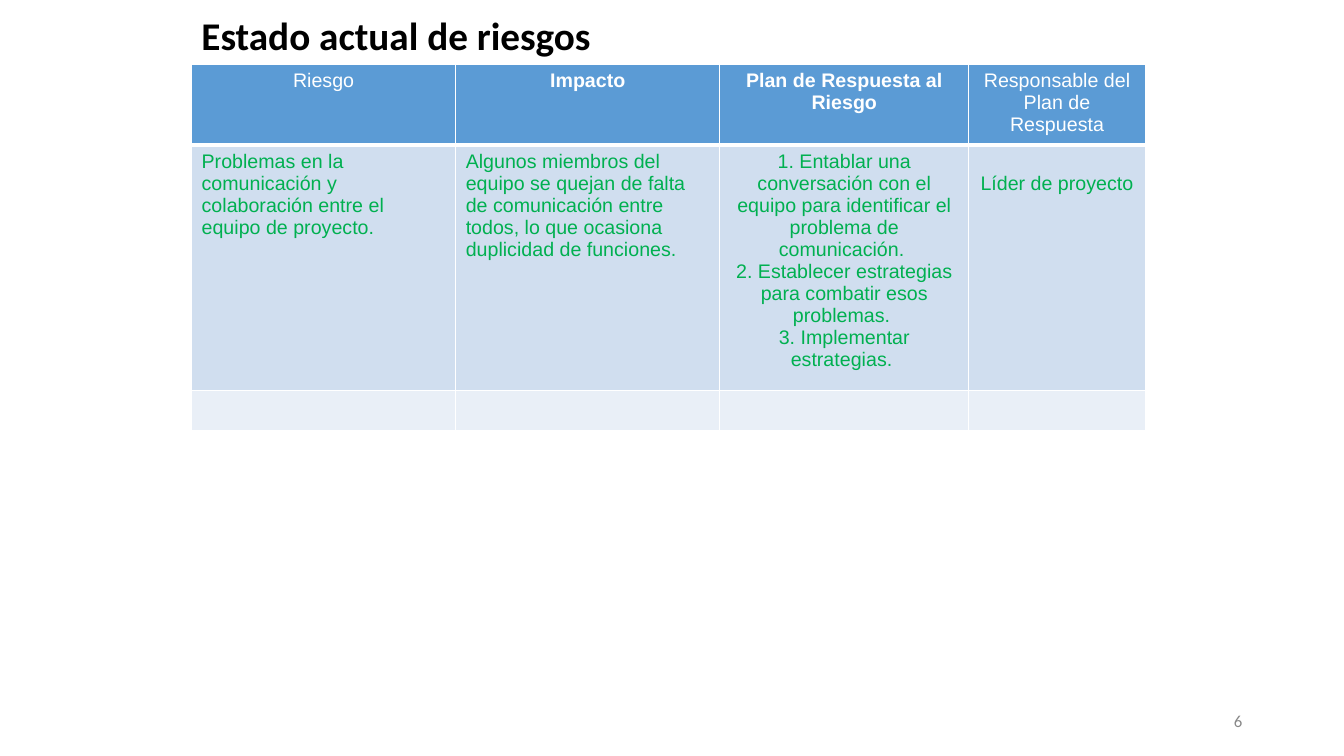
from lxml.etree import SubElement
from pptx import Presentation
from pptx.dml.color import RGBColor
from pptx.enum.text import MSO_ANCHOR, PP_ALIGN
from pptx.oxml.ns import qn
from pptx.util import Inches, Pt


def style(paragraph, size, font, color, bold=False, align=PP_ALIGN.LEFT):
    paragraph.alignment = align
    for run in paragraph.runs:
        run.font.size = Pt(size)
        run.font.name = font
        run.font.bold = bold
        run.font.color.rgb = RGBColor.from_string(color)


def add_border(cell, side, points):
    line = SubElement(cell._tc.get_or_add_tcPr(), qn(f"a:ln{side}"), w=str(Pt(points)))
    fill = SubElement(line, qn("a:solidFill"))
    SubElement(fill, qn("a:srgbClr"), val="FFFFFF")


prs = Presentation()
prs.slide_width, prs.slide_height = Inches(13.33), Inches(7.5)
slide = prs.slides.add_slide(prs.slide_layouts[6])

LEFT, CENTER, RIGHT = PP_ALIGN.LEFT, PP_ALIGN.CENTER, PP_ALIGN.RIGHT
labels = [
    ("Estado actual de riesgos", (1.9, 0.15, 8.5, 0.39), 28, "000000", True, LEFT),
    ("6", (9.42, 6.95, 3, 0.4), 12, "888888", False, RIGHT),
]
for text, box, size, color, bold, align in labels:
    frame = slide.shapes.add_textbox(*map(Inches, box)).text_frame
    frame.word_wrap = True
    frame.vertical_anchor = MSO_ANCHOR.MIDDLE
    frame.text = text
    style(frame.paragraphs[0], size, "Calibri", color, bold, align)

headers = ["Riesgo", "Impacto", "Plan de Respuesta al Riesgo", "Responsable del Plan de Respuesta"]
risk = [
    "Problemas en la comunicación y colaboración entre el equipo de proyecto.",
    "Algunos miembros del equipo se quejan de falta de comunicación entre todos, "
    "lo que ocasiona duplicidad de funciones.",
    "1. Entablar una conversación con el equipo para identificar el problema de comunicación. \n"
    "2. Establecer estrategias para combatir esos problemas. \n"
    "3. Implementar estrategias. ",
    "Líder de proyecto",
]
rows = [headers, risk, [""] * 4]
row_fills = ["5B9BD5", "D0DEEF", "E9EFF7"]
row_heights = [0.74, 2.4, 0.38]
column_widths = [2.62, 2.62, 2.47, 1.75]

risks = slide.shapes.add_table(
    len(rows), len(headers), Inches(1.9), Inches(0.64),
    Inches(sum(column_widths)), Inches(sum(row_heights)),
).table
for column, width in zip(risks.columns, column_widths):
    column.width = Inches(width)

for r, texts in enumerate(rows):
    risks.rows[r].height = Inches(row_heights[r])
    for c, text in enumerate(texts):
        cell = risks.cell(r, c)
        for side in "LRTB":
            under_header = (r, side) in [(0, "B"), (1, "T")]
            add_border(cell, side, 3 if under_header else 1)
        cell.fill.solid()
        cell.fill.fore_color.rgb = RGBColor.from_string(row_fills[r])
        cell.text_frame.text = text
        for paragraph in cell.text_frame.paragraphs:
            style(
                paragraph, 14, "Arial",
                "FFFFFF" if r == 0 else "00B050",
                r == 0 and c in (1, 2),
                CENTER if r == 0 or c > 1 else LEFT,
            )
risks.cell(1, 3).margin_top = Inches(0.27)

prs.save("out.pptx")
